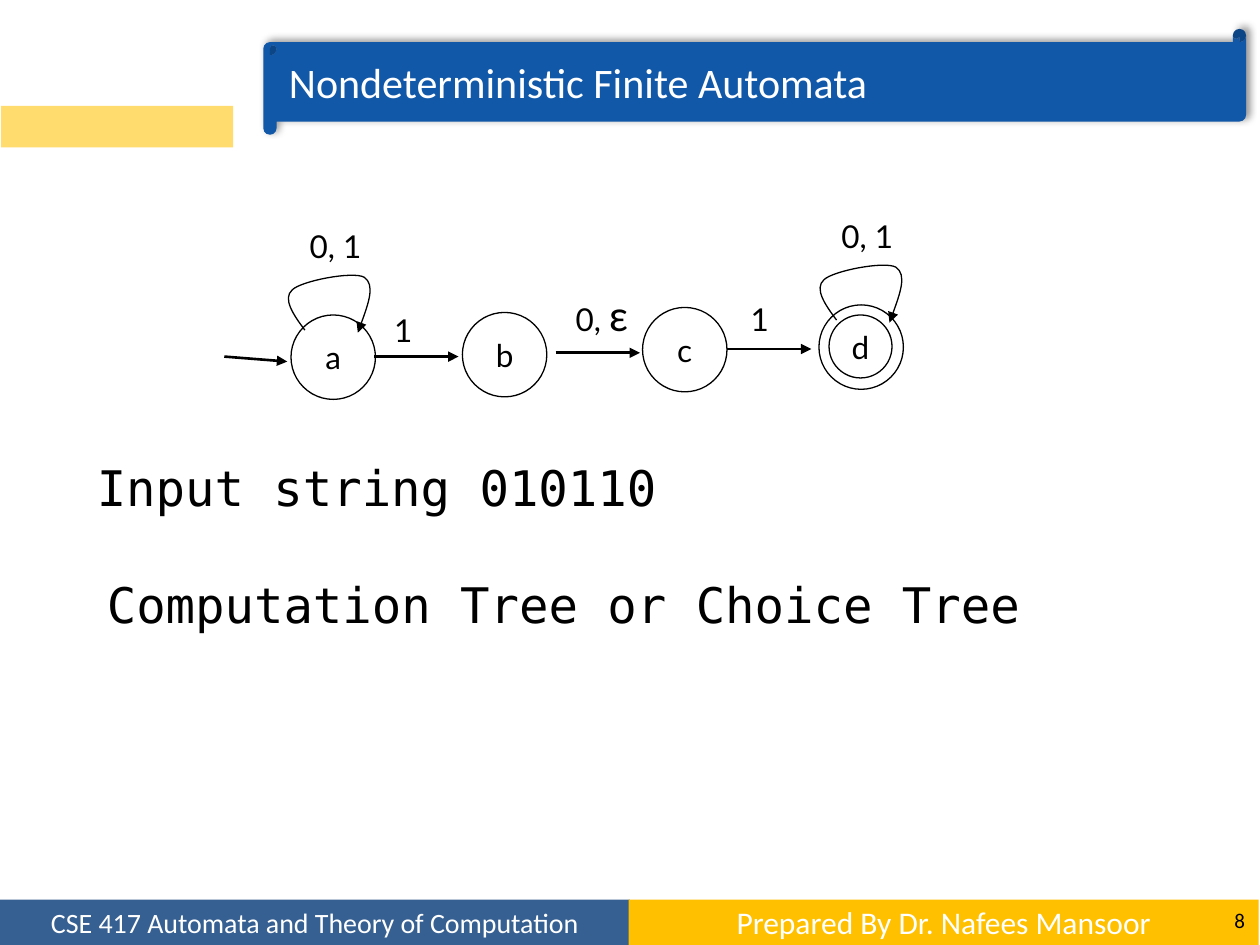
from dataclasses import dataclass
from lxml.etree import SubElement
from pptx import Presentation
from pptx.dml.color import RGBColor
from pptx.enum.shapes import MSO_CONNECTOR, MSO_SHAPE
from pptx.enum.text import MSO_ANCHOR, MSO_AUTO_SIZE, PP_ALIGN
from pptx.oxml import parse_xml
from pptx.oxml.ns import nsdecls, qn
from pptx.util import Inches, Pt


@dataclass(frozen=True)
class Theme:
    ink: str = "000000"
    paper: str = "FFFFFF"
    title: str = "1158A9"
    course: str = "376092"
    author: str = "FFC000"
    accent: str = "FFDC6D"
    sans: str = "Calibri"
    label: str = "Lato"
    mono: str = "DejaVu Sans Mono"
    number: int = 12
    small: int = 16
    normal: int = 18
    large: int = 24
    body: int = 28
    thin: float = 0.75
    thick: float = 1.5


def put(text, x, y, w, h, shape=None, fill=None, line=None, font=Theme.label,
        size=Theme.normal, color=Theme.ink, align=PP_ALIGN.LEFT,
        anchor=MSO_ANCHOR.TOP, wrap=True, grow=False):
    box = [int(x * col), int(y * row), int(w * col), int(h * row)]
    if shape is None:
        sp = s.shapes.add_textbox(*box)
    else:
        sp = s.shapes.add_shape(shape, *box)
        sp.shadow.inherit = False
        sp.fill.solid()
        sp.fill.fore_color.rgb = RGBColor.from_string(fill)
        if line:
            sp.line.color.rgb = RGBColor.from_string(line)
            sp.line.width = Pt(t.thin)
        else:
            sp.line.fill.background()
    tf = sp.text_frame
    tf.word_wrap = wrap
    tf.vertical_anchor = anchor
    if grow:
        tf.auto_size = MSO_AUTO_SIZE.SHAPE_TO_FIT_TEXT
    p = tf.paragraphs[0]
    p.alignment = align
    for part, part_size in [(text, size)] if isinstance(text, str) else text:
        r = p.add_run()
        r.text = part
        r.font.name = font
        r.font.size = Pt(part_size)
        r.font.color.rgb = RGBColor.from_string(color)
    return sp


def ink_line(sp, width):
    sp.line.color.rgb = RGBColor.from_string(t.ink)
    sp.line.width = Pt(width)
    SubElement(sp.line._get_or_add_ln(), qn("a:tailEnd"), type="triangle")
    if sp._element.spPr.find(qn("a:effectLst")) is None:
        SubElement(sp._element.spPr, qn("a:effectLst"))


t = Theme()
prs = Presentation()
prs.slide_width, prs.slide_height = Inches(10), Inches(7.5)
col, row = prs.slide_width / 100, prs.slide_height / 75
s = prs.slides.add_slide(prs.slide_layouts[6])
middle = {"anchor": MSO_ANCHOR.MIDDLE}
center = {"align": PP_ALIGN.CENTER, **middle}

for text, x, fill, size in [
    ("CSE 417 Automata and Theory of Computation", 0, t.course, t.small),
    ("Prepared By Dr. Nafees Mansoor", 49.9, t.author, t.normal),
]:
    put(text, x, 71.4, 50, 3.6, shape=MSO_SHAPE.RECTANGLE, fill=fill,
        font=t.sans, size=size, color=t.paper, **center)
put("8", 93.3, 71, 6.5, 4, font=t.sans, size=t.number, align=PP_ALIGN.RIGHT, **middle)
put([], 0.1, 8.4, 18.4, 3.3, shape=MSO_SHAPE.RECTANGLE, fill=t.accent)

banner = put("Nondeterministic Finite Automata", 20.9, 2.3, 78, 8.4,
             shape=MSO_SHAPE.HORIZONTAL_SCROLL, fill=t.title, font=t.sans,
             size=t.large, color=t.paper, **middle)
spPr = banner._element.spPr
spPr.replace(spPr.find(qn("a:effectLst")), parse_xml(
    f'<a:effectLst {nsdecls("a")}><a:outerShdw blurRad="{Pt(4)}" dist="{Pt(3)}" '
    f'dir="18900000" algn="bl" rotWithShape="0"><a:srgbClr val="{t.ink}">'
    '<a:alpha val="40000"/></a:srgbClr></a:outerShdw></a:effectLst>'))

state = 6.7
for name, x, y, d in [("a", 23.1, 25, state), ("b", 36.7, 24.8, state),
                      ("c", 51, 24.4, state), ([], 65, 24.2, state),
                      ("d", 65.8, 25, 5)]:
    put(name, x, y, d, d, shape=MSO_SHAPE.OVAL, fill=t.paper, line=t.ink,
        wrap=False, **center)

for x1, y1, x2, y2 in [(17.8, 28.3, 22.8, 28.7), (29.7, 28.3, 36.4, 28.3),
                       (44.1, 28, 50.8, 28), (57.7, 27.7, 64.4, 27.7)]:
    arrow = s.shapes.add_connector(MSO_CONNECTOR.STRAIGHT, int(x1 * col), int(y1 * row),
                                   int(x2 * col), int(y2 * row))
    ink_line(arrow, t.thick)

loop = [(1.8, 4.6), (0.9, 3.4), (0, 2.1), (0.8, 1.4), (1.5, 0.7),
        (5.6, -0.1), (6.5, 0.4), (7.4, 1), (6.7, 2.9), (6, 4.8)]
for x, y in [(22.4, 21.6), (64.6, 20.8)]:
    pts = [(int((x + dx) * col), int((y + dy) * row)) for dx, dy in loop]
    fb = s.shapes.build_freeform(*pts[0])
    fb.add_line_segments(pts[1:], close=False)
    sp = fb.convert_to_shape()
    sp.shadow.inherit = False
    sp.fill.background()
    ink_line(sp, t.thin)
    steps = list(sp._element.iter(qn("a:lnTo")))
    for i in range(0, len(steps), 3):
        curve = SubElement(steps[i].getparent(), qn("a:cubicBezTo"))
        for step in steps[i:i + 3]:
            curve.append(step[0])
            step.getparent().remove(step)

for text, x, y, w, h, wrap in [
    ("1", 30.3, 24.2, 3.4, 4, False),
    ([("0, ", t.normal), ("ε", t.large)], 44.7, 22.5, 6.4, 8.1, False),
    ("1", 58.6, 23.3, 3.4, 4, False),
    ("0, 1", 23.6, 17.5, 8.3, 4, True),
    ("0, 1", 65.8, 16.7, 8.3, 4, True),
]:
    put(text, x, y, w, h, wrap=wrap, grow=True)

for text, x, y, w in [("Input string 010110", 6.7, 35.8, 75),
                      ("Computation Tree or Choice Tree", 7.5, 45.1, 88.3)]:
    put(text, x, y, w, 5.7, font=t.mono, size=t.body, grow=True)

prs.save("out.pptx")
